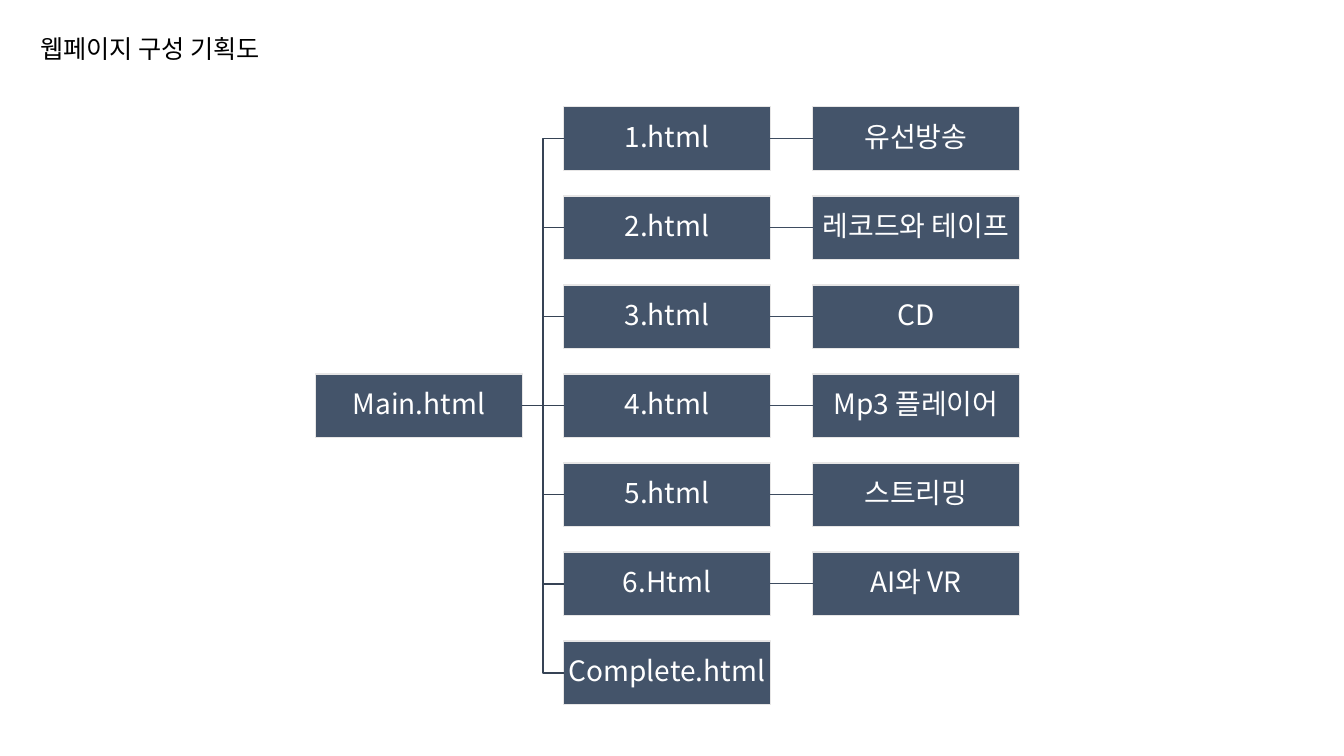
"""Build a one-slide site map of web pages and their topics."""
from pptx import Presentation
from pptx.dml.color import RGBColor
from pptx.enum.shapes import MSO_CONNECTOR as Connector, MSO_SHAPE as Shape
from pptx.enum.text import MSO_ANCHOR as Anchor, PP_ALIGN as Align
from pptx.oxml.ns import qn
from pptx.util import Inches, Pt
from lxml import etree

FONT = "Noto Sans CJK KR"
BOX_WIDTH, BOX_HEIGHT = 2.05, 0.63
MAIN_LEFT, PAGE_LEFT, TOPIC_LEFT = 3.13, 5.59, 8.06
FIRST_TOP, LAST_TOP = 1.06, 6.36
MAIN_ROW = 3
PAGES = [
    ("1.html", "유선방송"),
    ("2.html", "레코드와 테이프"),
    ("3.html", "CD"),
    ("4.html", "Mp3 플레이어"),
    ("5.html", "스트리밍"),
    ("6.Html", "AI와 VR"),
    ("Complete.html", None),
]
ROW_STEP = (LAST_TOP - FIRST_TOP) / (len(PAGES) - 1)

presentation = Presentation()
presentation.slide_width = Inches(13.33)
presentation.slide_height = Inches(7.5)
slide = presentation.slides.add_slide(presentation.slide_layouts[6])


def add_box(text, left, row):
    top = FIRST_TOP + row * ROW_STEP
    box = slide.shapes.add_shape(
        Shape.RECTANGLE, Inches(left), Inches(top), Inches(BOX_WIDTH), Inches(BOX_HEIGHT)
    )
    box.shadow.inherit = False
    box.fill.solid()
    box.fill.fore_color.rgb = RGBColor.from_string("44546A")
    box.line.color.rgb = RGBColor.from_string("E7E6E6")
    box.line.width = Pt(1)
    frame = box.text_frame
    frame.word_wrap = True
    frame.vertical_anchor = Anchor.MIDDLE
    frame.margin_left = frame.margin_right = Inches(0.01)
    frame.margin_top = frame.margin_bottom = Inches(0.01)
    paragraph = frame.paragraphs[0]
    paragraph.text = text
    paragraph.alignment = Align.CENTER
    paragraph.line_spacing = 0.9
    paragraph.space_after = Pt(7)
    paragraph.font.size = Pt(20)
    paragraph.font.name = FONT
    paragraph.font.color.rgb = RGBColor.from_string("FFFFFF")
    return box


def connect(parent, child, color):
    kind = Connector.STRAIGHT if parent.top == child.top else Connector.ELBOW
    connector = slide.shapes.add_connector(
        kind,
        parent.left + parent.width, parent.top + parent.height // 2,
        child.left, child.top + child.height // 2,
    )
    connector.begin_connect(parent, 3)
    connector.end_connect(child, 1)
    connector.line.color.rgb = RGBColor.from_string(color)
    connector.line.width = Pt(1)
    etree.SubElement(connector.element.spPr, qn("a:effectLst"))


main_box = add_box("Main.html", MAIN_LEFT, MAIN_ROW)
for row, (page, topic) in enumerate(PAGES):
    page_box = add_box(page, PAGE_LEFT, row)
    connect(main_box, page_box, "364355")
    if topic:
        topic_box = add_box(topic, TOPIC_LEFT, row)
        connect(page_box, topic_box, "3E4C60")

title = slide.shapes.add_textbox(Inches(0.3), Inches(0.28), Inches(7.71), Inches(0.4))
title.text_frame.word_wrap = True
paragraph = title.text_frame.paragraphs[0]
paragraph.text = "웹페이지 구성 기획도"
paragraph.font.size = Pt(18)
paragraph.font.name = FONT
paragraph.font.color.rgb = RGBColor.from_string("000000")

presentation.save("out.pptx")
